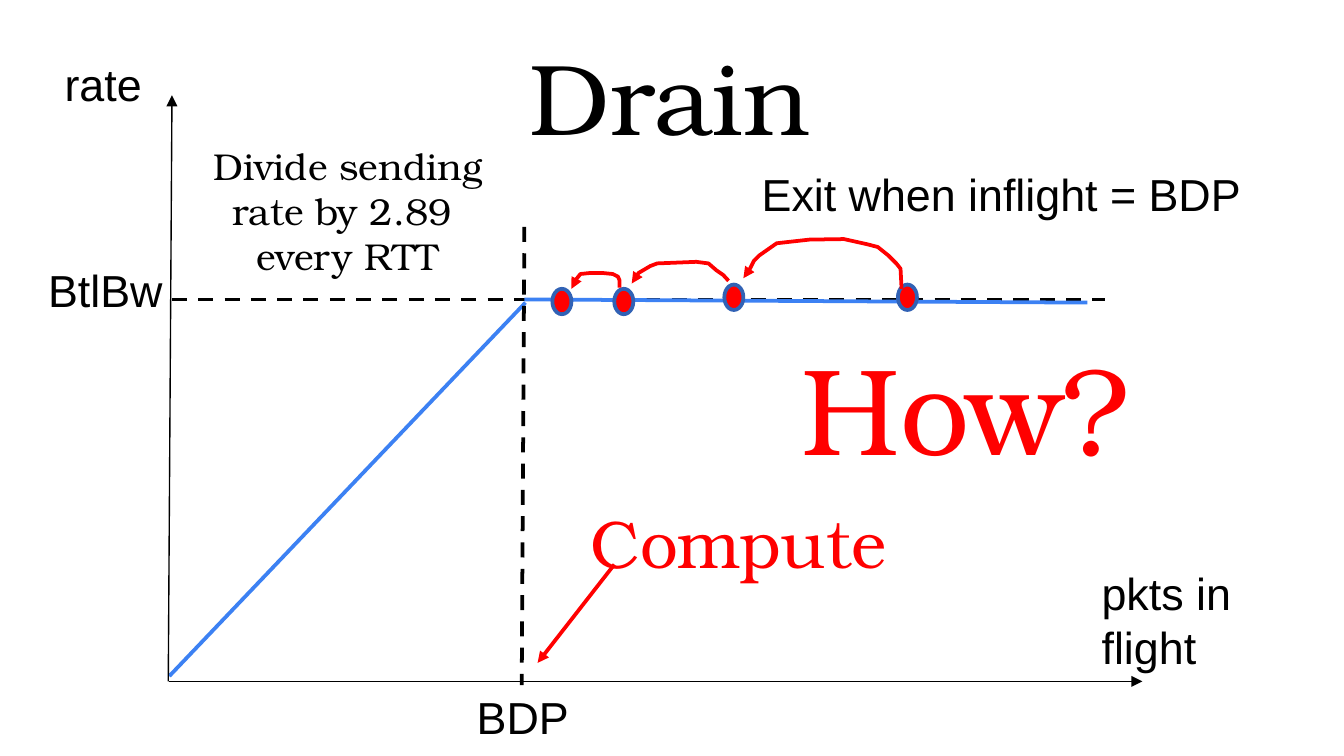
import pptx
import pptx.util
import pptx.dml.color
import pptx.enum.dml
import pptx.enum.shapes
import pptx.enum.text
import pptx.oxml
import pptx.oxml.ns

Cm = pptx.util.Cm
Pt = pptx.util.Pt
BLACK, RED, BLUE, DARK_BLUE = "000000", "FF0000", "3C81F3", "3162B5"
SERIF, SANS = "TeX Gyre Bonum", "Arial"


def color(hex_string):
    return pptx.dml.color.RGBColor.from_string(hex_string)


def style_line(shape, hex_string, width, arrow=False):
    shape.line.color.rgb = color(hex_string)
    shape.line.width = Pt(width)
    if arrow:
        tail = pptx.oxml.parse_xml(
            '<a:tailEnd %s type="triangle"/>' % pptx.oxml.ns.nsdecls("a"))
        shape.line._get_or_add_ln().append(tail)


presentation = pptx.Presentation()
presentation.slide_width = Cm(25.4)
presentation.slide_height = Cm(14.29)
slide = presentation.slides.add_slide(presentation.slide_layouts[6])

# Axes, rate curve, dashed guides and pointer: from, to, color, width, dashed, arrow
lines = [
    (3.2, 12.78, 9.93, 5.72, BLUE, 2, False, False),
    (9.91, 4.29, 9.86, 12.95, BLACK, 2, True, False),
    (3.18, 12.88, 3.25, 1.8, BLACK, 0.75, False, True),
    (3.2, 12.88, 21.59, 12.88, BLACK, 0.75, False, True),
    (3.25, 5.66, 20.88, 5.66, BLACK, 2, True, False),
    (9.91, 5.66, 20.55, 5.72, BLUE, 2, False, False),
    (11.61, 10.67, 10.16, 12.53, RED, 2, False, True),
]
for x1, y1, x2, y2, line_color, width, dashed, arrow in lines:
    connector = slide.shapes.add_connector(
        pptx.enum.shapes.MSO_CONNECTOR.STRAIGHT, Cm(x1), Cm(y1), Cm(x2), Cm(y2))
    if dashed:
        connector.line.dash_style = pptx.enum.dml.MSO_LINE.DASH
    style_line(connector, line_color, width, arrow)
    connector._element.spPr.append(pptx.oxml.parse_xml(
        "<a:effectLst %s/>" % pptx.oxml.ns.nsdecls("a")))

# Operating points on the bottleneck line
for left, top in [(16.97, 5.38), (13.69, 5.38), (11.61, 5.46), (10.44, 5.46)]:
    point = slide.shapes.add_shape(
        pptx.enum.shapes.MSO_SHAPE.OVAL, Cm(left), Cm(top), Cm(0.36), Cm(0.48))
    point.shadow.inherit = False
    point.fill.solid()
    point.fill.fore_color.rgb = color(RED)
    style_line(point, DARK_BLUE, 2)

# Arrows jumping from each point to the next
jumps = [
    [(17.04, 5.46), (17.02, 5.08), (16.94, 4.98), (16.79, 4.83), (16.59, 4.67),
     (16.4, 4.62), (15.95, 4.52), (15.3, 4.53), (14.68, 4.6), (14.35, 4.83),
     (14.25, 4.93), (14.2, 5.03), (14.12, 5.18), (14.05, 5.26)],
    [(13.77, 5.31), (13.67, 5.2), (13.54, 5.11), (13.39, 4.98), (13.16, 4.95),
     (12.42, 4.98), (12.29, 5.03), (12.07, 5.16), (11.94, 5.36)],
    [(11.71, 5.44), (11.71, 5.3), (11.68, 5.23), (11.58, 5.18), (11.38, 5.16),
     (11.16, 5.16), (10.97, 5.18), (10.85, 5.33), (10.8, 5.46)],
]
for jump in jumps:
    vertices = [(Cm(x), Cm(y)) for x, y in jump]
    builder = slide.shapes.build_freeform(*vertices[0])
    builder.add_line_segments(vertices[1:], close=False)
    curve = builder.convert_to_shape()
    curve.shadow.inherit = False
    curve.fill.background()
    style_line(curve, RED, 2, arrow=True)

# Texts: box, paragraphs, size, font, color, centered and wrapped, vertical inset
texts = [
    (0.97, 0.94, 1.98, 1.27, ["rate"], 24, SANS, BLACK, False, 0.13),
    (20.57, 10.57, 3.23, 2.31, ["pkts in", "flight"], 24, SANS, BLACK, False, 0.13),
    (8.76, 12.9, 2.26, 1.27, ["BDP"], 24, SANS, BLACK, False, 0.13),
    (0.66, 4.83, 2.69, 1.27, ["BtlBw"], 24, SANS, BLACK, False, 0.13),
    (0.41, 0.41, 24.49, 2.95, ["Drain"], 54, SERIF, BLACK, True, 0.25),
    (14.3, 6.15, 7.9, 3.07, ["How?"], 66, SERIF, RED, True, 0.13),
    (8.76, 9.35, 10.39, 1.8, ["Compute"], 36, SERIF, RED, True, 0.13),
    (13.97, 3.02, 9.91, 1.27, ["Exit when inflight = BDP"], 24, SANS, BLACK, True, 0.13),
    (3.4, 2.46, 6.35, 2.95, ["Divide sending rate by 2.89 ", "every RTT"],
     20, SERIF, BLACK, True, 0.25),
]
for left, top, width, height, paragraphs, size, font, text_color, centered, inset in texts:
    box = slide.shapes.add_textbox(Cm(left), Cm(top), Cm(width), Cm(height))
    frame = box.text_frame
    frame.word_wrap = centered
    frame.margin_top = frame.margin_bottom = Cm(inset)
    for index, text in enumerate(paragraphs):
        paragraph = frame.add_paragraph() if index else frame.paragraphs[0]
        if centered:
            paragraph.alignment = pptx.enum.text.PP_ALIGN.CENTER
        run = paragraph.add_run()
        run.text = text
        run.font.size = Pt(size)
        run.font.name = font
        run.font.color.rgb = color(text_color)

presentation.save("out.pptx")
